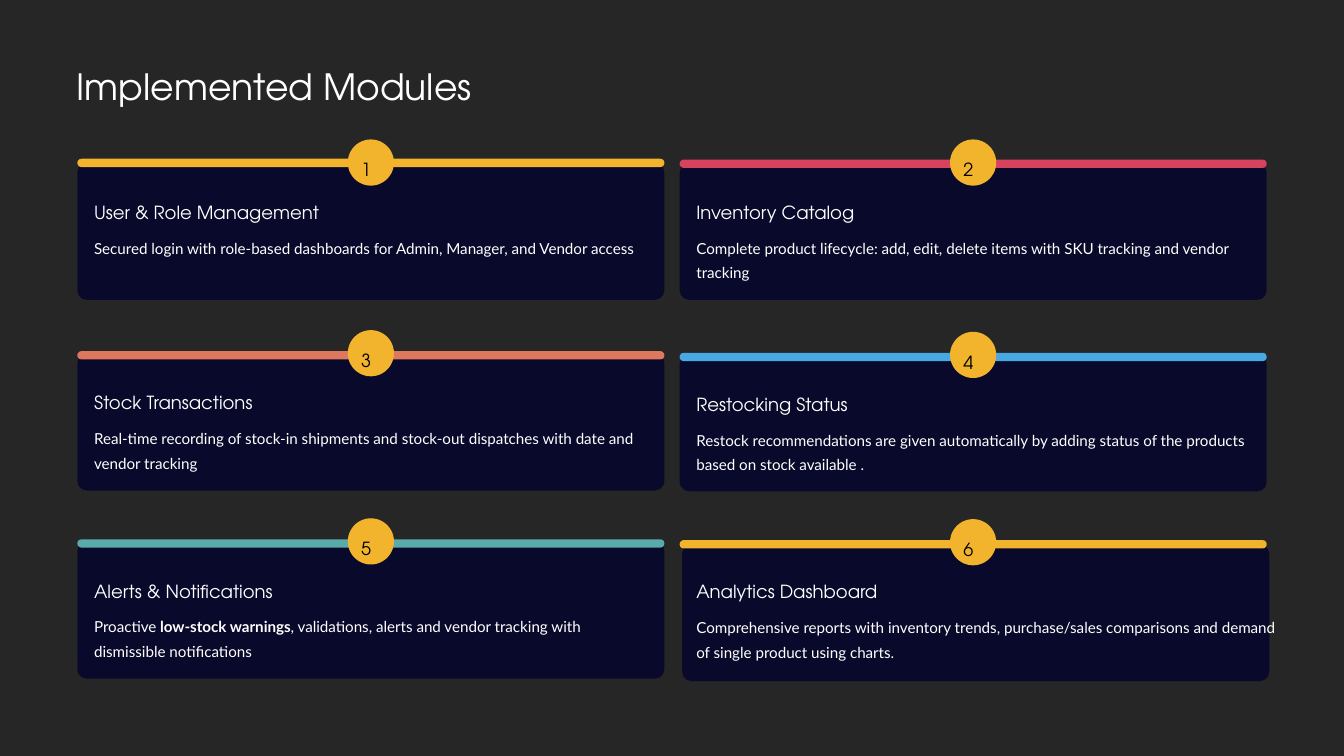
from dataclasses import dataclass

import pptx
import pptx.dml.color
import pptx.enum.shapes
import pptx.util
from lxml import etree
from pptx.dml.color import RGBColor
from pptx.oxml.ns import qn
from pptx.util import Inches

BACKGROUND = RGBColor(0x26, 0x26, 0x26)
WHITE = RGBColor(0xFF, 0xFF, 0xFF)
BLACK = RGBColor(0x00, 0x00, 0x00)
NAVY = RGBColor(0x00, 0x00, 0x2E)
AMBER = RGBColor(0xF2, 0xB4, 0x2D)
CRIMSON = RGBColor(0xD7, 0x42, 0x5E)
CORAL = RGBColor(0xDD, 0x78, 0x5E)
SKY = RGBColor(0x48, 0xA8, 0xE2)
TEAL = RGBColor(0x59, 0xAB, 0xA9)

HEADING_FONT = "TeX Gyre Adventor"
BODY_FONT = "Lato"
COLUMNS = (0.92, 8.09)
CARD_WIDTH = 6.99


@dataclass(frozen=True)
class Run:
    text: str
    bold: bool = False


@dataclass(frozen=True)
class Style:
    font: str
    size: float
    line: float
    color: RGBColor = WHITE


@dataclass(frozen=True)
class Module:
    title: str
    body: list[list[Run]]
    color: RGBColor
    top: float
    bar_dy: float = 0.25
    panel_dx: float = 0
    panel_dy: float = 0.28
    body_width: float = 6.58


TITLE = Style(HEADING_FONT, 31, 38.5)
NUMBER = Style(HEADING_FONT, 15.5, 25, BLACK)
HEADING = Style(HEADING_FONT, 15.5, 19)
BODY = Style(BODY_FONT, 13, 21)

MODULES = [
    Module("User & Role Management",
           [[Run("Secured login with role-based dashboards for Admin, Manager, and Vendor access")]],
           AMBER, 1.66, bar_dy=0.23),
    Module("Inventory Catalog",
           [[Run("Complete product lifecycle: add, edit, delete items with SKU tracking and vendor tracking")]],
           CRIMSON, 1.66, bar_dy=0.24),
    Module("Stock Transactions",
           [[Run("Real-time recording of stock-in shipments and stock-out dispatches with date and vendor tracking")]],
           CORAL, 3.93),
    Module("Restocking Status",
           [[Run("Restock recommendations are given automatically by adding status of the products")],
            [Run("based on stock available .")]],
           SKY, 3.95, panel_dy=0.27),
    Module("Alerts & Notifications",
           [[Run("Proactive"), Run(" low-stock warnings", True),
             Run(", validations, alerts and vendor tracking with dismissible notifications")]],
           TEAL, 6.17),
    Module("Analytics Dashboard",
           [[Run("Comprehensive reports with inventory trends, purchase/sales comparisons and demand")],
            [Run("of single product using charts.")]],
           AMBER, 6.18, panel_dx=0.03, panel_dy=0.3, body_width=7.2),
]


def add_text(s: pptx.slide.Slide, x: float, y: float, w: float, h: float,
             paragraphs: list[list[Run]], style: Style) -> None:
    tf = s.shapes.add_textbox(Inches(x), Inches(y), Inches(w), Inches(h)).text_frame
    tf.margin_left = tf.margin_top = tf.margin_right = tf.margin_bottom = 0
    tf.word_wrap = True
    for i, runs in enumerate(paragraphs):
        p = tf.add_paragraph() if i else tf.paragraphs[0]
        p.line_spacing = pptx.util.Pt(style.line)
        for run in runs:
            r = p.add_run()
            r.text = run.text
            r.font.name = style.font
            r.font.size = pptx.util.Pt(style.size)
            r.font.bold = run.bold
            r.font.color.rgb = style.color


def add_block(s: pptx.slide.Slide, x: float, y: float, w: float, h: float,
              color: RGBColor, radius: float = 0.5, opacity: int = 100) -> None:
    sp = s.shapes.add_shape(pptx.enum.shapes.MSO_SHAPE.ROUNDED_RECTANGLE,
                            Inches(x), Inches(y), Inches(w), Inches(h))
    sp.adjustments[0] = radius
    sp.shadow.inherit = False
    sp.fill.solid()
    sp.fill.fore_color.rgb = color
    sp.line.fill.background()
    if opacity < 100:
        srgb = sp.fill._xPr.find(qn("a:solidFill")).find(qn("a:srgbClr"))
        etree.SubElement(srgb, qn("a:alpha")).set("val", str(opacity * 1000))


def add_module(s: pptx.slide.Slide, index: int, m: Module) -> None:
    x = COLUMNS[index % 2]
    add_block(s, x + m.panel_dx, m.top + m.panel_dy, CARD_WIDTH, 1.63, NAVY, 0.07, 75)
    add_block(s, x, m.top + m.bar_dy, CARD_WIDTH, 0.1, m.color)
    add_block(s, x + 3.22, m.top, 0.55, 0.55, AMBER)
    add_text(s, x + 3.38, m.top + 0.14, 0.22, 0.27, [[Run(str(index + 1))]], NUMBER)
    add_text(s, x + 0.2, m.top + 0.73, 4, 0.27, [[Run(m.title)]], HEADING)
    add_text(s, x + 0.2, m.top + 1.11, m.body_width, 0.59, m.body, BODY)


def main() -> None:
    prs = pptx.Presentation()
    prs.slide_width, prs.slide_height = Inches(16), Inches(9)
    s = prs.slides.add_slide(prs.slide_layouts[6])
    s.background.fill.solid()
    s.background.fill.fore_color.rgb = BACKGROUND
    add_text(s, 0.91, 0.75, 6, 0.54, [[Run("Implemented Modules")]], TITLE)
    for index, module in enumerate(MODULES):
        add_module(s, index, module)
    prs.save("out.pptx")


if __name__ == "__main__":
    main()
